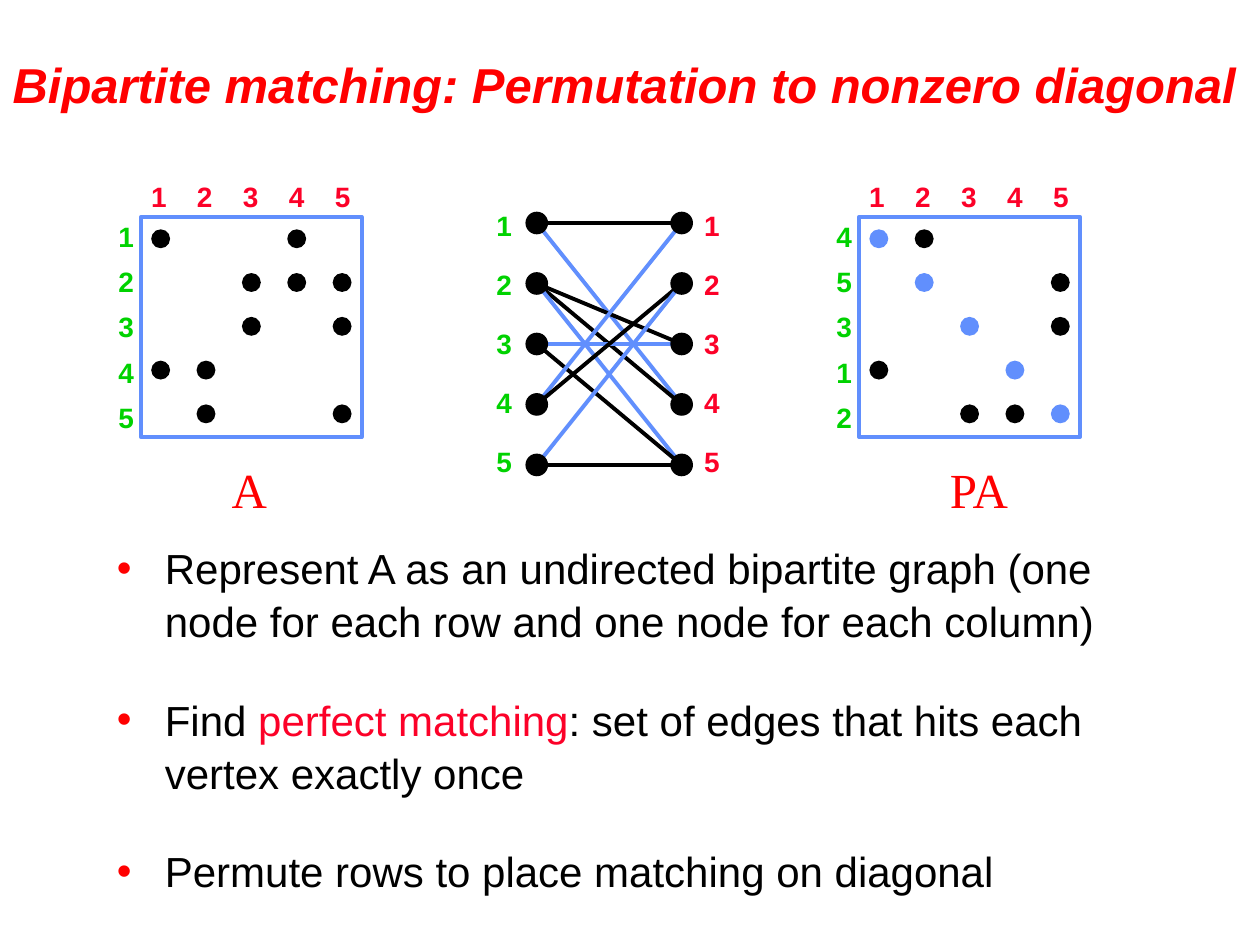
import pptx
import pptx.util
import pptx.dml.color
import pptx.enum.shapes
import pptx.enum.text
import pptx.oxml.ns
from lxml import etree

Inches, Pt = pptx.util.Inches, pptx.util.Pt
SHAPE = pptx.enum.shapes.MSO_SHAPE
FIT = pptx.enum.text.MSO_AUTO_SIZE
ANCHOR = pptx.enum.text.MSO_ANCHOR
ALIGN = pptx.enum.text.PP_ALIGN
BLACK, BLUE, RED, PINK, GREEN = "000000", "618FFD", "FF0000", "FC0128", "00D200"
COUNT = 5
ROWS = {1: (1, 4), 2: (3, 4, 5), 3: (3, 5), 4: (1, 2), 5: (2, 5)}
# Column matched to each row
MATCH = {1: 4, 2: 5, 3: 3, 4: 1, 5: 2}


def color(text):
    return pptx.dml.color.RGBColor.from_string(text)


def style(font, size, hue, name="Arial", bold=False, italic=False):
    font.name, font.size = name, Pt(size)
    font.bold, font.italic = bold, italic
    font.color.rgb = color(hue)


def add_label(slide, x, y, text, hue, width=0.32, height=0.37, size=16,
              name="Arial", bold=True):
    box = slide.shapes.add_textbox(Inches(x), Inches(y), Inches(width), Inches(height))
    frame = box.text_frame
    frame.word_wrap = False
    frame.auto_size = FIT.SHAPE_TO_FIT_TEXT
    para = frame.paragraphs[0]
    para.text = text
    style(para.font, size, hue, name, bold)


def add_dot(slide, x, y, size, hue):
    dot = slide.shapes.add_shape(SHAPE.OVAL, Inches(x), Inches(y), Inches(size), Inches(size))
    dot.shadow.inherit = False
    dot.fill.solid()
    dot.fill.fore_color.rgb = color(hue)
    dot.line.fill.background()


def add_edge(slide, start, end, hue):
    points = [Inches(value) for value in (*start, *end)]
    edge = slide.shapes.add_connector(pptx.enum.shapes.MSO_CONNECTOR.STRAIGHT, *points)
    edge.line.color.rgb = color(hue)
    edge.line.width = Pt(2.25)
    etree.SubElement(edge._element.spPr, pptx.oxml.ns.qn("a:effectLst"))


def add_title(slide, x, y, width, height):
    title = slide.shapes.title
    title.left, title.top = Inches(x), Inches(y)
    title.width, title.height = Inches(width), Inches(height)
    frame = title.text_frame
    frame.word_wrap = True
    frame.auto_size = FIT.NONE
    frame.vertical_anchor = ANCHOR.MIDDLE
    para = frame.paragraphs[0]
    para.text = "Bipartite matching: Permutation to nonzero diagonal"
    para.alignment = ALIGN.LEFT
    style(para.font, 28, RED, bold=True, italic=True)


def add_matrix(slide, x, y, size, order, name, width, marked=False):
    """Draw the matrix with its rows in the given order."""
    for i, row in enumerate(order):
        for col in ROWS[row]:
            hue = BLUE if marked and MATCH[row] == col else BLACK
            add_dot(slide, x + 0.08 + 0.36 * (col - 1), y + 0.1 + 1.39 / 4 * i, 0.15, hue)
    frame = slide.shapes.add_shape(SHAPE.RECTANGLE, Inches(x), Inches(y),
                                   Inches(size), Inches(size))
    frame.shadow.inherit = False
    frame.fill.background()
    frame.line.color.rgb = color(BLUE)
    frame.line.width = Pt(2.25)
    for i, row in enumerate(order):
        add_label(slide, x - 0.02 + 1.46 / 4 * i, y - 0.34, str(i + 1), PINK)
        add_label(slide, x - 0.28, y - 0.03 + 0.36 * i, str(row), GREEN)
    add_label(slide, x + 0.62, y + 1.88, name, RED, width, 0.57, 28,
              "Times New Roman", False)


def add_graph(slide, x, y, width, step):
    """Draw the row nodes from centre (x, y) and the column nodes opposite."""
    for row, cols in ROWS.items():
        for col in cols:
            add_edge(slide, (x, y + step * (row - 1)), (x + width, y + step * (col - 1)),
                     BLUE if MATCH[row] == col else BLACK)
    for side, shift, hue in ((x, -0.42, GREEN), (x + width, 0.08, PINK)):
        for i in range(COUNT):
            add_dot(slide, side - 0.09, y - 0.09 + step * i, 0.18, BLACK)
            add_label(slide, side + shift, y - 0.16 + 1.87 / 4 * i, str(i + 1), hue)


def add_bullet(para):
    props = para._p.get_or_add_pPr()
    props.set("marL", str(Inches(0.38)))
    props.set("indent", str(Inches(-0.38)))
    shade = etree.SubElement(props, pptx.oxml.ns.qn("a:buClr"))
    etree.SubElement(shade, pptx.oxml.ns.qn("a:srgbClr"), val=RED)
    etree.SubElement(props, pptx.oxml.ns.qn("a:buFont"), typeface="Arial")
    etree.SubElement(props, pptx.oxml.ns.qn("a:buChar"), char="•")


def add_steps(slide, x, y, width, height):
    steps = [
        [("Represent A as an undirected bipartite graph (one node for each row "
          "and one node for each column)", BLACK)],
        [("Find ", BLACK), ("perfect matching", PINK),
         (": set of edges that hits each vertex exactly once", BLACK)],
        [("Permute rows to place matching on diagonal", BLACK)],
    ]
    box = slide.shapes.add_textbox(Inches(x), Inches(y), Inches(width), Inches(height))
    frame = box.text_frame
    frame.word_wrap = True
    for i, parts in enumerate(steps):
        para = frame.add_paragraph() if i else frame.paragraphs[0]
        add_bullet(para)
        para.line_spacing = 1.05
        if i:
            para.space_before = Pt(26)
        style(para.font, 24, BLACK)
        for text, hue in parts:
            run = para.add_run()
            run.text = text
            if hue != BLACK:
                run.font.color.rgb = color(hue)


def main():
    deck = pptx.Presentation()
    deck.slide_width, deck.slide_height = Inches(10), Inches(7.5)
    slide = deck.slides.add_slide(deck.slide_layouts.get_by_name("Title Only"))
    add_title(slide, 0, 0.33, 10, 0.67)
    add_steps(slide, 0.83, 4.24, 8.35, 2.92)
    add_matrix(slide, 1.12, 1.72, 1.75, list(ROWS), "A", 0.48)
    add_graph(slide, 4.26, 1.77, 1.15, 0.48)
    order = sorted(ROWS, key=MATCH.get)
    add_matrix(slide, 6.82, 1.72, 1.75, order, "PA", 0.69, marked=True)
    deck.save("out.pptx")


if __name__ == "__main__":
    main()
